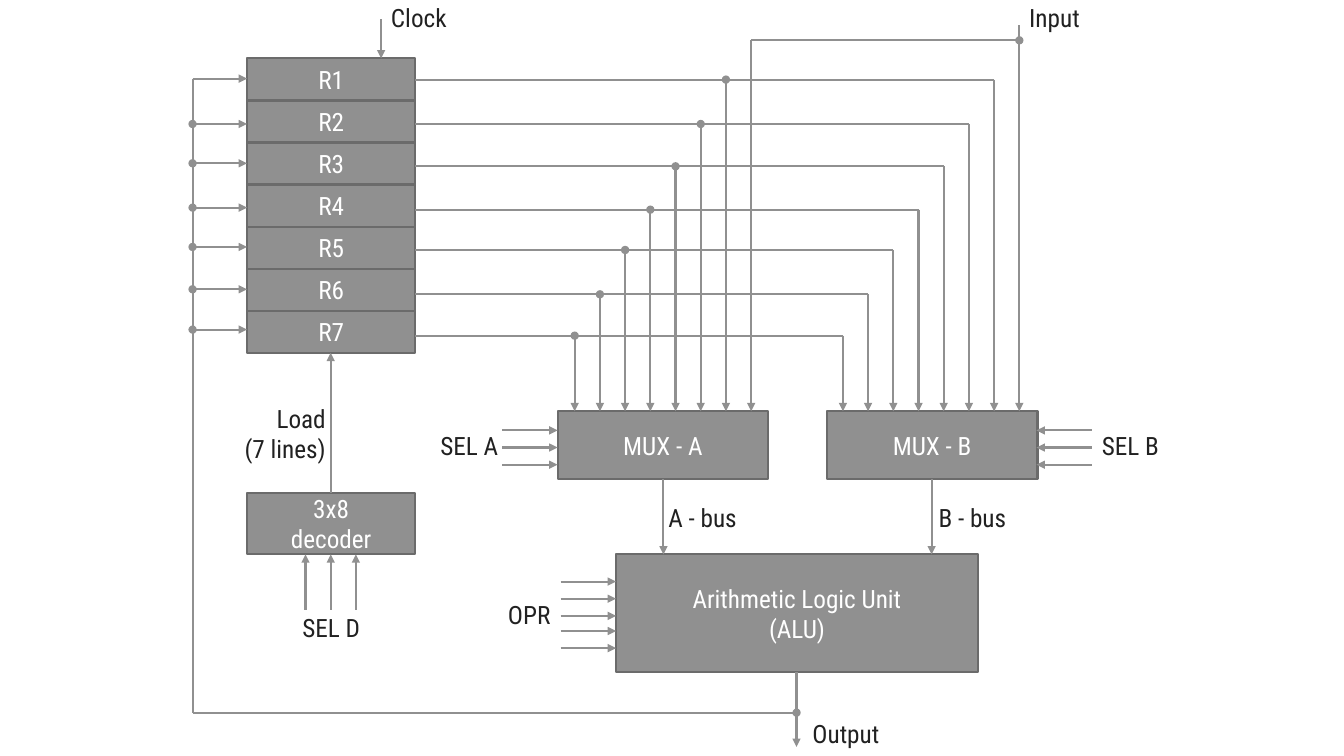
from dataclasses import dataclass

from lxml import etree
from pptx import Presentation
from pptx.dml.color import RGBColor
from pptx.enum.shapes import MSO_CONNECTOR, MSO_SHAPE
from pptx.enum.text import MSO_ANCHOR, MSO_AUTO_SIZE, PP_ALIGN
from pptx.oxml.ns import qn
from pptx.util import Inches, Pt

STRAIGHT = MSO_CONNECTOR.STRAIGHT
RECTANGLE = MSO_SHAPE.RECTANGLE
LEFT, CENTER, RIGHT = PP_ALIGN.LEFT, PP_ALIGN.CENTER, PP_ALIGN.RIGHT
MIDDLE = MSO_ANCHOR.MIDDLE
GROW = MSO_AUTO_SIZE.SHAPE_TO_FIT_TEXT


@dataclass(frozen=True)
class Theme:
    font: str = "Roboto Condensed"
    size: int = 18
    line_width: float = 1.5
    fill: RGBColor = RGBColor(0x90, 0x90, 0x90)
    border: RGBColor = RGBColor(0x6B, 0x6B, 0x6B)
    on_fill: RGBColor = RGBColor(0xFF, 0xFF, 0xFF)
    ink: RGBColor = RGBColor(0x21, 0x21, 0x21)


THEME = Theme()

# Content: registers as (name, height of output line, height of input arrow)
REGISTERS = [
    ("R1", 0.79, 0.78),
    ("R2", 1.23, 1.23),
    ("R3", 1.65, 1.62),
    ("R4", 2.08, 2.06),
    ("R5", 2.48, 2.45),
    ("R6", 2.92, 2.87),
    ("R7", 3.33, 3.27),
]

# Blocks as (lines, left, top, width, height)
BLOCKS = [
    (["MUX - A"], 5.53, 4.08, 2.09, 0.67),
    (["MUX - B"], 8.2, 4.08, 2.09, 0.67),
    (["Arithmetic Logic Unit", "(ALU)"], 6.11, 5.5, 3.59, 1.17),
    (["3x8", "decoder"], 2.45, 4.89, 1.67, 0.61),
]

# Labels as (lines, left, top, width, height, alignment)
LABELS = [
    (["Clock"], 3.78, -0.03, 0.83, 0.4, LEFT),
    (["Input"], 10.11, -0.03, 0.83, 0.4, LEFT),
    (["Output"], 7.96, 7.08, 0.99, 0.4, LEFT),
    (["SEL A"], 4.27, 4.22, 0.83, 0.4, LEFT),
    (["SEL B"], 10.83, 4.22, 0.83, 0.4, LEFT),
    (["SEL D"], 2.9, 6.03, 0.83, 0.4, LEFT),
    (["OPR"], 4.94, 5.9, 0.83, 0.4, LEFT),
    (["Load", "(7 lines)"], 2.26, 3.95, 1.07, 0.71, RIGHT),
    (["A - bus"], 6.53, 4.93, 0.99, 0.4, LEFT),
    (["B - bus"], 9.21, 4.93, 0.99, 0.4, LEFT),
]

# Layout
REGISTER_LEFT, REGISTER_TOP = 2.45, 0.58
REGISTER_WIDTH, REGISTER_HEIGHT = 1.67, 2.92 / 7
REGISTER_RIGHT = REGISTER_LEFT + REGISTER_WIDTH
REGISTER_BOTTOM = REGISTER_TOP + REGISTER_HEIGHT * len(REGISTERS)
DECODER_X, DECODER_TOP, DECODER_BOTTOM = 3.28, 4.89, 5.5
MUX_TOP, MUX_BOTTOM = 4.08, 4.75
ALU_LEFT, ALU_TOP, ALU_BOTTOM = 6.11, 5.5, 6.67
INPUT_A, INPUT_B, INPUT_Y = 7.45, 10.11, 0.4
BUS_A, BUS_B = 6.58, 9.24
FEEDBACK_X, FEEDBACK_Y, OUTPUT_X = 1.91, 7.07, 7.9
PIN_GAP, PIN_LENGTH = 0.25, 0.55
SELECT_YS = [4.27, 4.44, 4.61]
OPERATION_YS = [5.77, 5.94, 6.11, 6.26, 6.43]

deck = Presentation()
deck.slide_width, deck.slide_height = Inches(13.33), Inches(7.5)
page = deck.slides.add_slide(deck.slide_layouts[6])


def write(frame, lines, color, align):
    for index, line in enumerate(lines):
        para = frame.paragraphs[0] if index == 0 else frame.add_paragraph()
        para.alignment = align
        span = para.add_run()
        span.text = line
        span.font.name = THEME.font
        span.font.size = Pt(THEME.size)
        span.font.color.rgb = color


def add_block(lines, left, top, width, height):
    box = page.shapes.add_shape(
        RECTANGLE, Inches(left), Inches(top), Inches(width), Inches(height))
    box.shadow.inherit = False
    box.fill.solid()
    box.fill.fore_color.rgb = THEME.fill
    box.line.color.rgb = THEME.border
    box.line.width = Pt(THEME.line_width)
    box.text_frame.word_wrap = True
    box.text_frame.vertical_anchor = MIDDLE
    write(box.text_frame, lines, THEME.on_fill, CENTER)


def add_label(lines, left, top, width, height, align):
    box = page.shapes.add_textbox(
        Inches(left), Inches(top), Inches(width), Inches(height))
    box.text_frame.word_wrap = True
    box.text_frame.auto_size = GROW
    write(box.text_frame, lines, THEME.ink, align)


def add_wire(x1, y1, x2, y2, start=None, end=None):
    wire = page.shapes.add_connector(
        STRAIGHT, Inches(x1), Inches(y1), Inches(x2), Inches(y2))
    wire.line.color.rgb = THEME.fill
    wire.line.width = Pt(THEME.line_width)
    properties = wire._element.spPr
    outline = properties.find(qn("a:ln"))
    for tag, kind in (("a:headEnd", start), ("a:tailEnd", end)):
        if kind:
            etree.SubElement(outline, qn(tag)).set("type", kind)
    etree.SubElement(properties, qn("a:effectLst"))


def add_arrow(x1, y1, x2, y2, start=None):
    add_wire(x1, y1, x2, y2, start, "triangle")


# Registers and other blocks
for row, (name, _, _) in enumerate(REGISTERS):
    add_block([name], REGISTER_LEFT, REGISTER_TOP + row * REGISTER_HEIGHT,
              REGISTER_WIDTH, REGISTER_HEIGHT)
for block in BLOCKS:
    add_block(*block)

# Register outputs to both multiplexers, and feedback into each register
for row, (_, out_y, in_y) in enumerate(REGISTERS):
    drop_a = INPUT_A - PIN_GAP * (row + 1)
    drop_b = INPUT_B - PIN_GAP * (row + 1)
    add_wire(REGISTER_RIGHT, out_y, drop_b, out_y)
    add_arrow(drop_b, out_y, drop_b, MUX_TOP)
    add_arrow(drop_a, out_y, drop_a, MUX_TOP, "oval")
    add_arrow(FEEDBACK_X, in_y, REGISTER_LEFT, in_y, "oval" if row else None)

# External input and clock
add_arrow(INPUT_B, 0.25, INPUT_B, MUX_TOP)
add_arrow(INPUT_A, INPUT_Y, INPUT_A, MUX_TOP)
add_wire(INPUT_A, INPUT_Y, INPUT_B, INPUT_Y, end="oval")
add_arrow(3.78, 0.19, 3.78, REGISTER_TOP)

# Buses, output and feedback path
for bus_x in (BUS_A, BUS_B):
    add_arrow(bus_x, MUX_BOTTOM, bus_x, ALU_TOP)
add_arrow(OUTPUT_X, ALU_BOTTOM, OUTPUT_X, 7.41)
add_wire(FEEDBACK_X, FEEDBACK_Y, FEEDBACK_X, REGISTERS[0][2])
add_wire(FEEDBACK_X, FEEDBACK_Y, OUTPUT_X, FEEDBACK_Y, end="oval")

# Control pins
add_arrow(DECODER_X, DECODER_TOP, DECODER_X, REGISTER_BOTTOM)
for y in SELECT_YS:
    add_arrow(5.53 - PIN_LENGTH, y, 5.53, y)
    add_arrow(10.28 + PIN_LENGTH, y, 10.28, y)
for y in OPERATION_YS:
    add_arrow(ALU_LEFT - PIN_LENGTH, y, ALU_LEFT, y)
for step in (-1, 0, 1):
    pin_x = DECODER_X + step * PIN_GAP
    add_arrow(pin_x, DECODER_BOTTOM + PIN_LENGTH, pin_x, DECODER_BOTTOM)

# Labels
for label in LABELS:
    add_label(*label)

deck.save("out.pptx")
